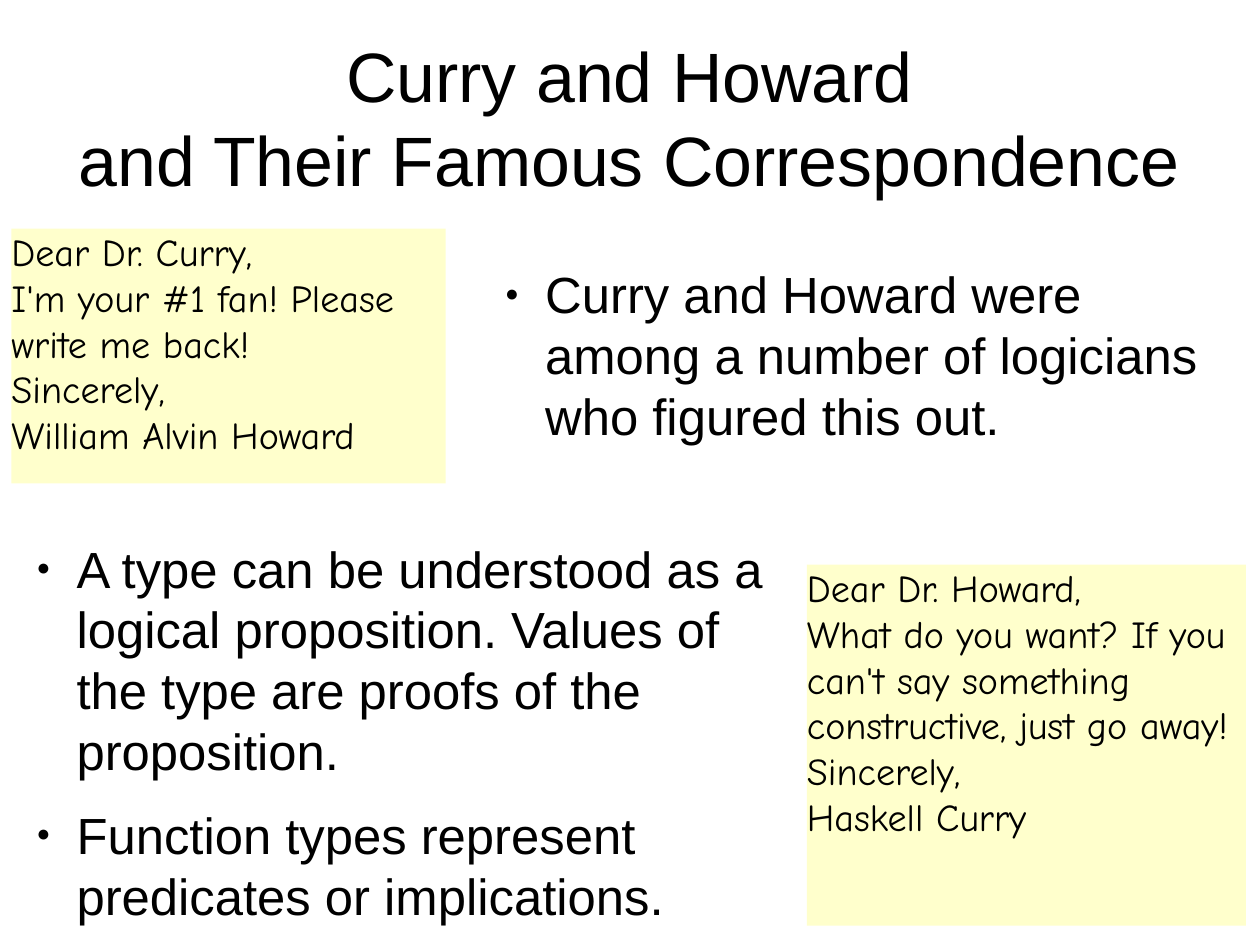
import pptx
import pptx.dml.color
import pptx.enum.shapes
import pptx.enum.text
import pptx.oxml
import pptx.oxml.ns
import pptx.util
from pptx.util import Inches

COLORS = {"text": "000000", "note": "FFFFCC", "background": "FFFFFF"}
BODY_FONT = "Arial"
LETTER_FONT = "Comic Neue"


def rgb(name):
    return pptx.dml.color.RGBColor.from_string(COLORS[name])


class SlideBuilder:
    bullet_indent = 0.35
    bullet_margin = 0.47

    def __init__(self, presentation):
        layout = presentation.slide_layouts.get_by_name("Title Only")
        self.slide = presentation.slides.add_slide(layout)
        fill = self.slide.background.fill
        fill.solid()
        fill.fore_color.rgb = rgb("background")

    def fill_text(self, frame, paragraphs, font, size, align, anchor):
        """Write the paragraphs without margins and format every run."""
        frame.text = "\n".join(paragraphs)
        frame.word_wrap = True
        frame.auto_size = pptx.enum.text.MSO_AUTO_SIZE.NONE
        frame.vertical_anchor = anchor
        frame.margin_left = frame.margin_right = 0
        frame.margin_top = frame.margin_bottom = 0
        for paragraph in frame.paragraphs:
            paragraph.alignment = align
            for run in paragraph.runs:
                run.font.name = font
                run.font.size = pptx.util.Pt(size)
                run.font.color.rgb = rgb("text")

    def title(self, text, left, top, width, height):
        title = self.slide.shapes.title
        title.left, title.top = Inches(left), Inches(top)
        title.width, title.height = Inches(width), Inches(height)
        self.fill_text(title.text_frame, [text], BODY_FONT, 44,
                       pptx.enum.text.PP_ALIGN.CENTER,
                       pptx.enum.text.MSO_ANCHOR.MIDDLE)

    def bullets(self, points, left, top, width, height):
        box = self.slide.shapes.add_textbox(
            Inches(left), Inches(top), Inches(width), Inches(height))
        self.fill_text(box.text_frame, points, BODY_FONT, 32,
                       pptx.enum.text.PP_ALIGN.LEFT,
                       pptx.enum.text.MSO_ANCHOR.TOP)
        for paragraph in box.text_frame.paragraphs:
            paragraph.space_after = pptx.util.Pt(14.1)
            self.add_bullet(paragraph)

    def add_bullet(self, paragraph):
        properties = paragraph._p.get_or_add_pPr()
        properties.set("marL", str(Inches(self.bullet_margin)))
        properties.set("indent", str(-Inches(self.bullet_indent)))
        namespace = pptx.oxml.ns.nsdecls("a")
        for element in (
            f'<a:buClr {namespace}><a:srgbClr val="{COLORS["text"]}"/></a:buClr>',
            f'<a:buSzPct {namespace} val="45000"/>',
            f'<a:buFont {namespace} typeface="{BODY_FONT}"/>',
            f'<a:buChar {namespace} char="●"/>',
        ):
            properties.append(pptx.oxml.parse_xml(element))

    def letter(self, lines, left, top, width, height):
        note = self.slide.shapes.add_shape(
            pptx.enum.shapes.MSO_SHAPE.RECTANGLE,
            Inches(left), Inches(top), Inches(width), Inches(height))
        note.shadow.inherit = False
        note.fill.solid()
        note.fill.fore_color.rgb = rgb("note")
        note.line.fill.background()
        self.fill_text(note.text_frame, lines, LETTER_FONT, 24,
                       pptx.enum.text.PP_ALIGN.LEFT,
                       pptx.enum.text.MSO_ANCHOR.TOP)


def main():
    presentation = pptx.Presentation()
    presentation.slide_width = pptx.util.Cm(28)
    presentation.slide_height = pptx.util.Cm(21)
    builder = SlideBuilder(presentation)

    builder.title("Curry and Howard\vand Their Famous Correspondence",
                  0.55, 0.33, 9.92, 1.38)
    builder.bullets([
        "A type can be understood as a logical proposition. "
        "Values of the type are proofs of the proposition.",
        "Function types represent predicates or implications.",
    ], 0.2, 4.7, 6.6, 3.28)
    builder.letter([
        "Dear Dr. Curry,",
        "I'm your #1 fan! Please write me back!",
        "Sincerely,",
        "William Alvin Howard",
    ], 0.1, 2, 3.8, 2.23)
    builder.bullets([
        "Curry and Howard were among a number of logicians "
        "who figured this out.",
    ], 4.3, 2.3, 6.5, 1.6)
    builder.letter([
        "Dear Dr. Howard,",
        "What do you want? If you can't say something constructive, "
        "just go away!",
        "Sincerely,",
        "Haskell Curry",
    ], 7.06, 4.94, 3.84, 3.16)

    presentation.save("out.pptx")


if __name__ == "__main__":
    main()
